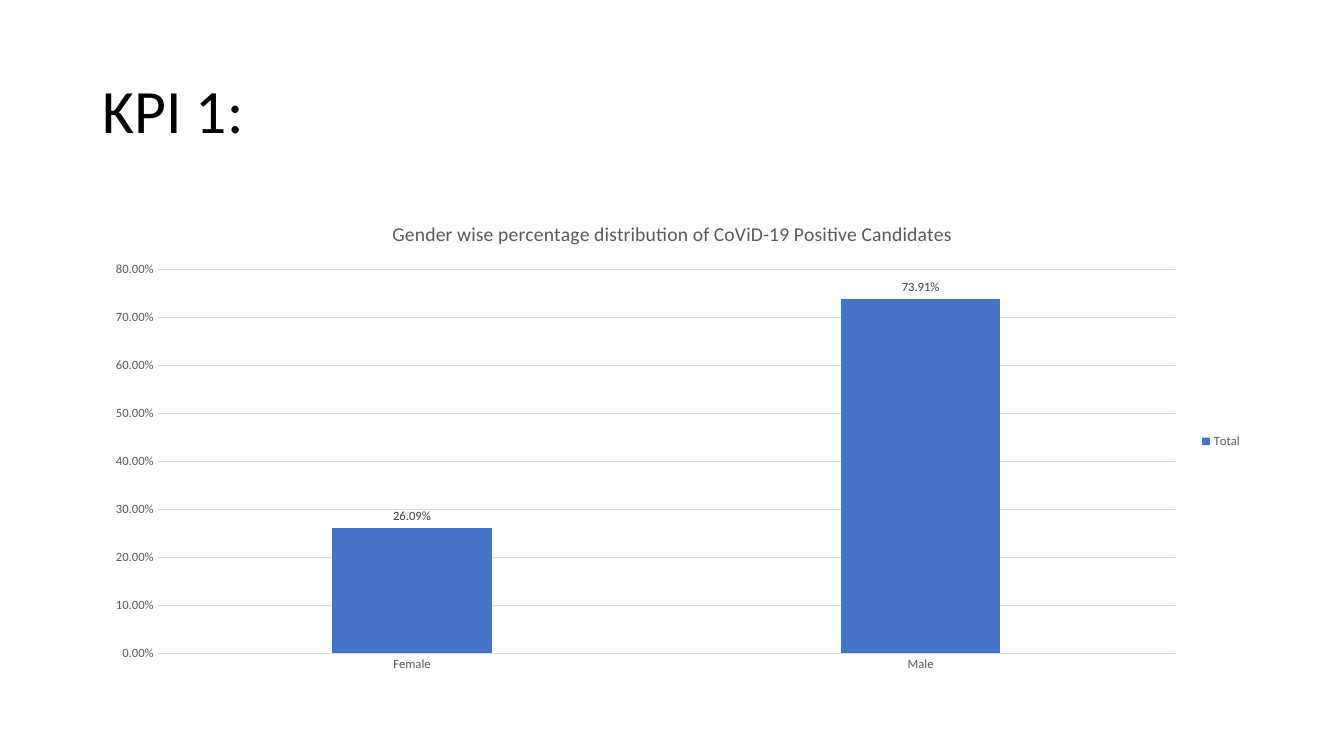
from pptx import Presentation
from pptx import util as u
from pptx.chart import data
from pptx.dml import color
from pptx.enum import chart as ch, text

HEAD = "KPI 1:"
TITLE = "Gender wise percentage distribution of CoViD-19 Positive Candidates"
NAME = "Total"
RATES = {"Female": 0.2609, "Male": 0.7391}
FMT = "0.00%"
HUES = {"head": "000000", "text": "595959", "label": "404040",
        "line": "D9D9D9", "bar": "4472C4"}
LEFT, WIDE = u.Inches(0.92), u.Inches(11.5)


def hue(key):
    return color.RGBColor.from_string(HUES[key])


def put(item, **vals):
    for key, val in vals.items():
        setattr(item, key, val)


def style(font, size, key):
    put(font, size=u.Pt(size), name="Calibri", bold=False)
    font.color.rgb = hue(key)


def rule(line):
    line.color.rgb = hue("line")
    line.width = u.Pt(0.75)


deck = Presentation()
put(deck, slide_width=u.Inches(13.33), slide_height=u.Inches(7.5))
slide = deck.slides.add_slide(deck.slide_layouts[6])

frame = slide.shapes.add_textbox(LEFT, u.Inches(0.4), WIDE, u.Inches(1.45)).text_frame
put(frame, word_wrap=True, vertical_anchor=text.MSO_ANCHOR.MIDDLE, text=HEAD)
para = frame.paragraphs[0]
para.line_spacing = 0.9
style(para.runs[0].font, 44, "head")

rates = data.CategoryChartData(number_format=FMT)
rates.categories = list(RATES)
rates.add_series(NAME, list(RATES.values()))
chart = slide.shapes.add_chart(ch.XL_CHART_TYPE.COLUMN_CLUSTERED, LEFT, u.Inches(2),
                               WIDE, u.Inches(4.76), rates).chart
style(chart.font, 10, "head")
put(chart, has_title=True, has_legend=True)
chart.chart_title.text_frame.text = TITLE
style(chart.chart_title.text_frame.paragraphs[0].runs[0].font, 14, "text")
put(chart.legend, position=ch.XL_LEGEND_POSITION.RIGHT, include_in_layout=False)
style(chart.legend.font, 9, "text")

cat, val = chart.category_axis, chart.value_axis
for axis in (cat, val):
    put(axis, major_tick_mark=ch.XL_TICK_MARK.NONE, minor_tick_mark=ch.XL_TICK_MARK.NONE)
    style(axis.tick_labels.font, 9, "text")
rule(cat.format.line)
val.format.line.fill.background()
rule(val.major_gridlines.format.line)
put(val, minimum_scale=0, maximum_scale=0.8, major_unit=0.1)
put(val.tick_labels, number_format=FMT, number_format_is_linked=False)

plot = chart.plots[0]
put(plot, gap_width=219, overlap=-27, vary_by_categories=False)
bars = plot.series[0]
bars.format.fill.solid()
bars.format.fill.fore_color.rgb = hue("bar")
tags = bars.data_labels
put(tags, show_value=True, number_format=FMT, number_format_is_linked=False,
    position=ch.XL_LABEL_POSITION.OUTSIDE_END)
style(tags.font, 9, "label")

deck.save("out.pptx")
